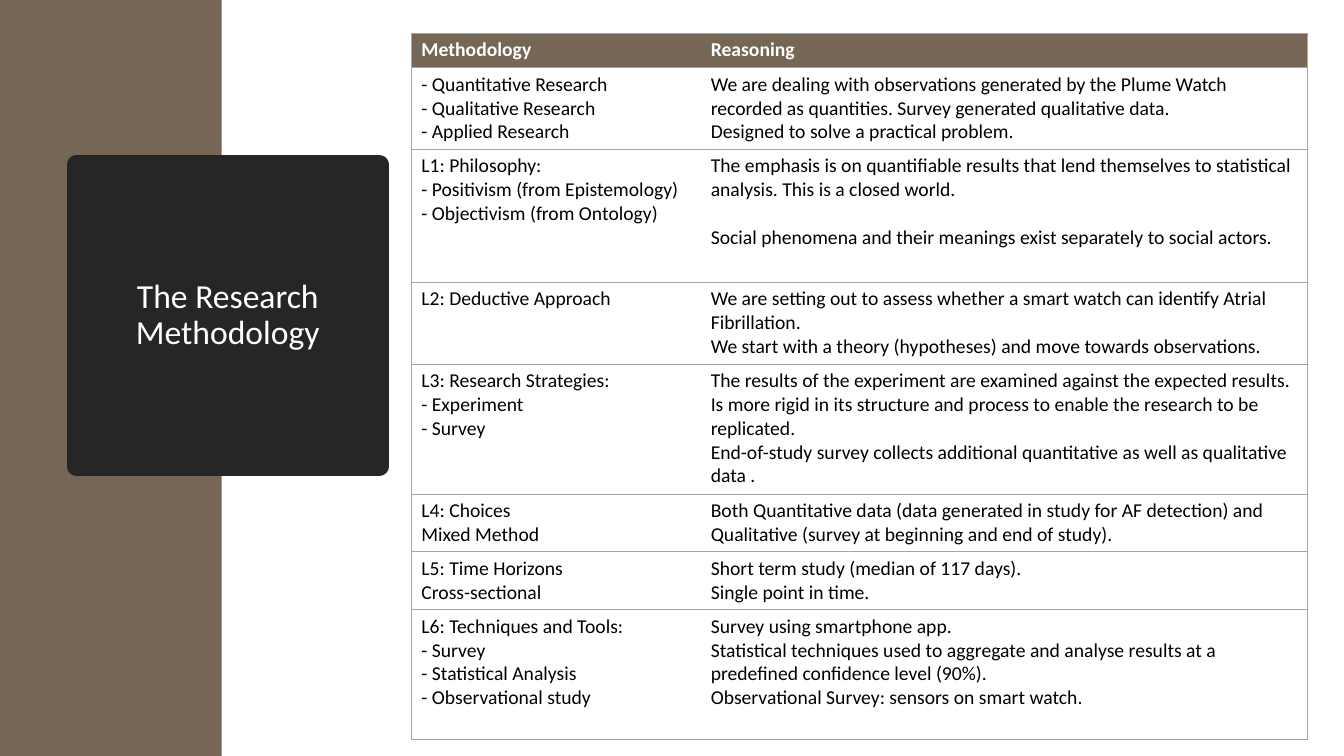
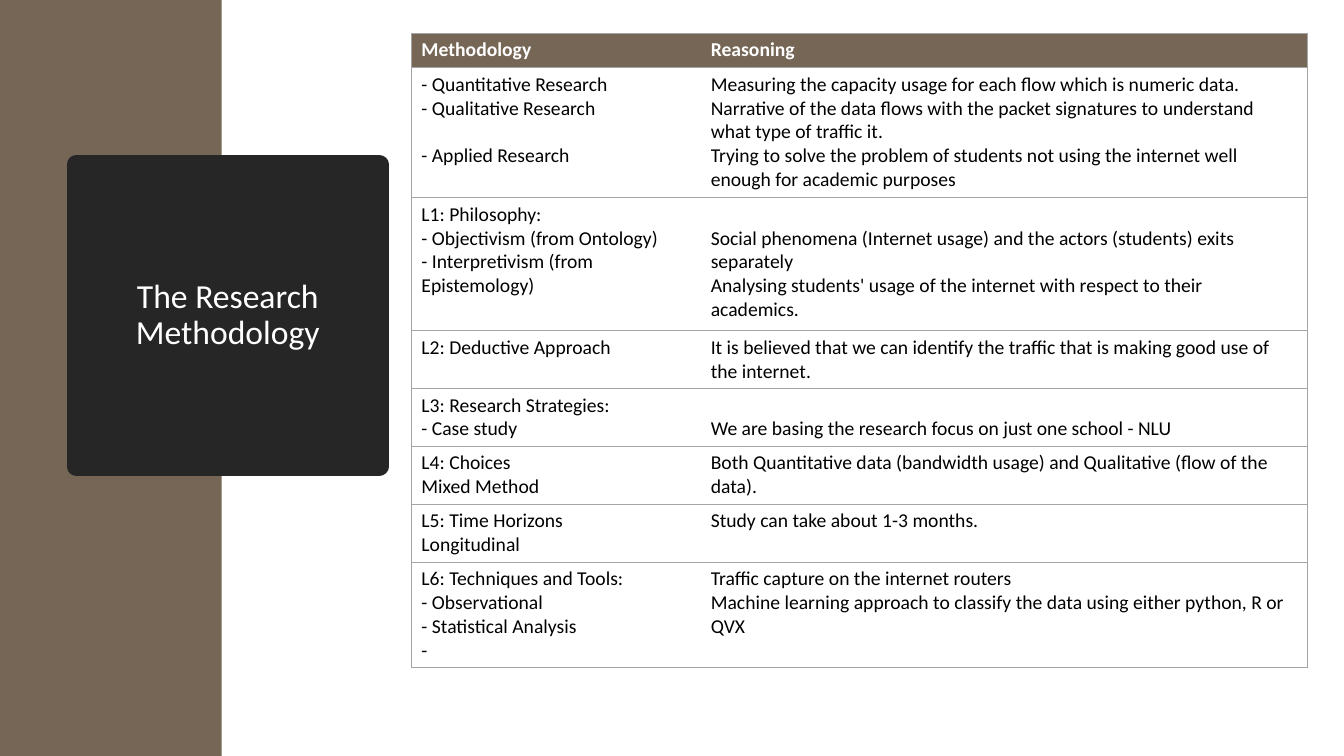
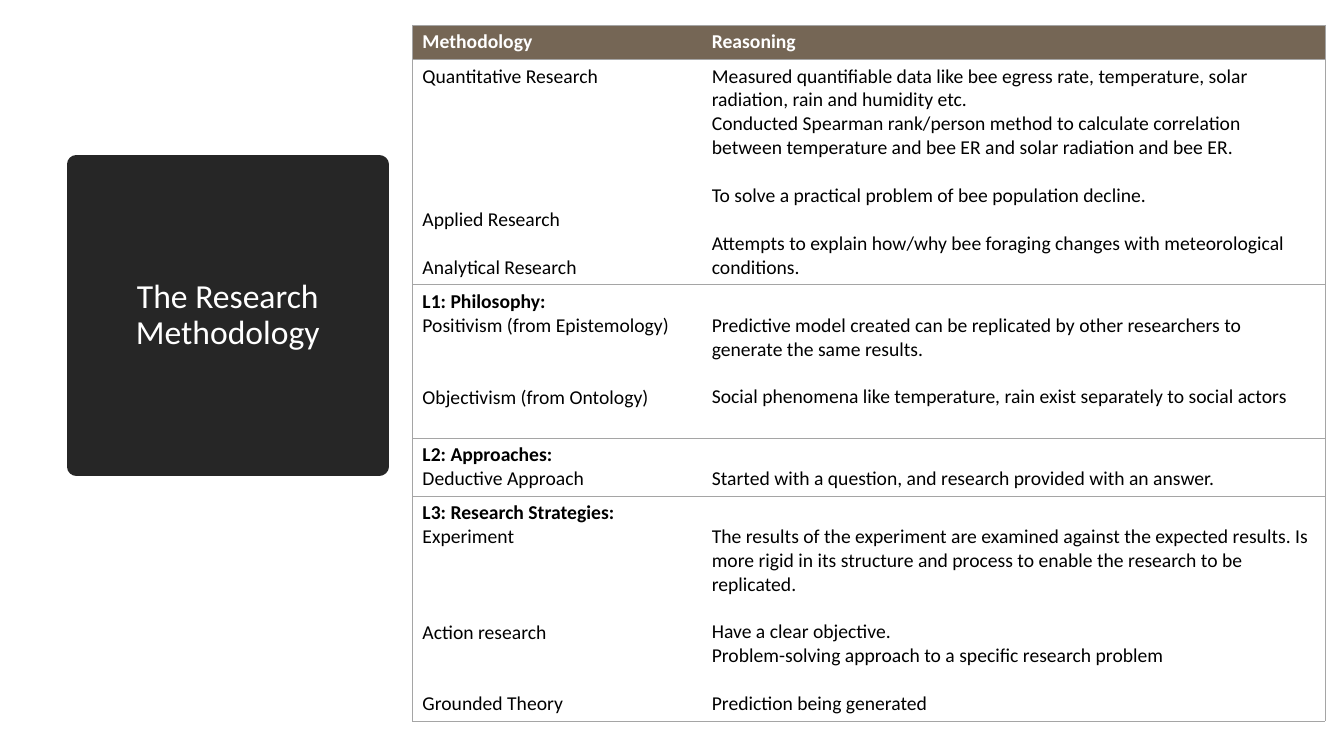
from dataclasses import dataclass
from typing import NamedTuple

import pptx
import pptx.dml.color
import pptx.enum.shapes
import pptx.enum.text
import pptx.oxml
import pptx.oxml.ns
import pptx.slide
import pptx.table
import pptx.text.text
import pptx.util

Inches = pptx.util.Inches
Pt = pptx.util.Pt
RGB = pptx.dml.color.RGBColor

BROWN = RGB(0x75, 0x66, 0x55)
DARK = RGB(0x26, 0x26, 0x26)
WHITE = RGB(0xFF, 0xFF, 0xFF)
BLACK = RGB(0x00, 0x00, 0x00)
GREY = RGB(0xA5, 0xA5, 0xA5)

FONT = "Calibri"
WIDE, HIGH = 13.33, 7.5
SIZE = 14
LINE = 17.1  # points from one line of table text to the next
PAD = 0.05  # inches above the first line of a cell
SIDE = 0.14  # inches right of the text of a cell
RULE = 0.5


class Para(NamedTuple):
    """A paragraph, set a number of lines below the one before it."""
    text: str
    gap: int = 0
    bold: bool = False


class Row(NamedTuple):
    high: float
    method: list[Para]
    reason: list[Para]


@dataclass
class Page:
    left: float
    top: float
    cols: tuple[float, float]
    rows: list[Row]
    band: bool = True


HEAD = Row(0.34, [Para("Methodology", bold=True)], [Para("Reasoning", bold=True)])

PAGES = [
    Page(4.08, 0.33, (2.87, 6.02), [
        Row(0.81,
            [Para("- Quantitative Research"),
             Para("- Qualitative Research"),
             Para("- Applied Research")],
            [Para("We are dealing with observations generated by the Plume Watch "
                  "recorded as quantities. Survey generated qualitative data."),
             Para("Designed to solve a practical problem.")]),
        Row(1.32,
            [Para("L1: Philosophy:"),
             Para("- Positivism (from Epistemology)"),
             Para("- Objectivism (from Ontology)")],
            [Para("The emphasis is on quantifiable results that lend themselves to "
                  "statistical analysis. This is a closed world."),
             Para("Social phenomena and their meanings exist separately to social "
                  "actors.", 1)]),
        Row(0.81,
            [Para("L2: Deductive Approach")],
            [Para("We are setting out to assess whether a smart watch can identify "
                  "Atrial Fibrillation."),
             Para("We start with a theory (hypotheses) and move towards "
                  "observations.")]),
        Row(1.29,
            [Para("L3: Research Strategies:"),
             Para("- Experiment"),
             Para("- Survey")],
            [Para("The results of the experiment are examined against the expected "
                  "results. Is more rigid in its structure and process to enable the "
                  "research to be replicated."),
             Para("End-of-study survey collects additional quantitative as well as "
                  "qualitative data .")]),
        Row(0.57,
            [Para("L4: Choices"), Para("Mixed Method")],
            [Para("Both Quantitative data (data generated in study for AF detection) "
                  "and Qualitative (survey at beginning and end of study).")]),
        Row(0.57,
            [Para("L5: Time Horizons"), Para("Cross-sectional")],
            [Para("Short term study (median of 117 days)."),
             Para("Single point in time.")]),
        Row(1.29,
            [Para("L6: Techniques and Tools:"),
             Para("- Survey"),
             Para("- Statistical Analysis"),
             Para("- Observational study")],
            [Para("Survey using smartphone app."),
             Para("Statistical techniques used to aggregate and analyse results at a "
                  "predefined confidence level (90%)."),
             Para("Observational Survey: sensors on smart watch.")]),
    ]),
    Page(4.08, 0.33, (2.87, 6.02), [
        Row(1.29,
            [Para("- Quantitative Research"),
             Para("- Qualitative Research"),
             Para("- Applied Research", 1)],
            [Para("Measuring the capacity usage for each flow which is numeric data."),
             Para("Narrative of the data flows with the packet signatures to "
                  "understand what type of traffic it."),
             Para("Trying to solve the problem of students not using the internet "
                  "well enough for academic purposes")]),
        Row(1.32,
            [Para("L1: Philosophy:"),
             Para("- Objectivism (from Ontology)"),
             Para("- Interpretivism (from Epistemology)")],
            [Para("Social phenomena (Internet usage) and the actors (students) exits "
                  "separately", 1),
             Para("Analysing students' usage of the internet with respect to their "
                  "academics.")]),
        Row(0.57,
            [Para("L2: Deductive Approach")],
            [Para("It is believed that we can identify the traffic that is making "
                  "good use of the internet.")]),
        Row(0.57,
            [Para("L3: Research Strategies:"), Para("- Case study")],
            [Para("We are basing the research focus on just one school - NLU", 1)]),
        Row(0.57,
            [Para("L4: Choices"), Para("Mixed Method")],
            [Para("Both Quantitative data (bandwidth usage) and Qualitative (flow of "
                  "the data).")]),
        Row(0.57,
            [Para("L5: Time Horizons"), Para("Longitudinal")],
            [Para("Study can take about 1-3 months.")]),
        Row(1.05,
            [Para("L6: Techniques and Tools:"),
             Para("- Observational"),
             Para("- Statistical Analysis"),
             Para("-")],
            [Para("Traffic capture on the internet routers"),
             Para("Machine learning approach to classify the data using either "
                  "python, R or QVX")]),
    ]),
    Page(4.09, 0.25, (2.87, 6.18), [
        Row(2.23,
            [Para("Quantitative Research"),
             Para("Applied Research", 5),
             Para("Analytical Research", 1)],
            [Para("Measured quantifiable data like bee egress rate, temperature, "
                  "solar radiation, rain and humidity etc."),
             Para("Conducted Spearman rank/person method to calculate correlation "
                  "between temperature and bee ER and solar radiation and bee ER."),
             Para("To solve a practical problem of bee population decline.", 1),
             Para("Attempts to explain how/why bee foraging changes with "
                  "meteorological conditions.", 1)]),
        Row(1.52,
            [Para("L1: Philosophy:", bold=True),
             Para("Positivism (from Epistemology)"),
             Para("Objectivism (from Ontology)", 2)],
            [Para("Predictive model created can be replicated by other researchers "
                  "to generate the same results.", 1),
             Para("Social phenomena like temperature, rain exist separately to "
                  "social actors", 1)]),
        Row(0.57,
            [Para("L2: Approaches:", bold=True), Para("Deductive Approach")],
            [Para("Started with a question, and research provided with an answer.",
                  1)]),
        Row(2.22,
            [Para("L3: Research Strategies:", bold=True),
             Para("Experiment"),
             Para("Action research", 3),
             Para("Grounded Theory", 2)],
            [Para("The results of the experiment are examined against the expected "
                  "results. Is more rigid in its structure and process to enable the "
                  "research to be replicated.", 1),
             Para("Have a clear objective.", 1),
             Para("Problem-solving approach to a specific research problem"),
             Para("Prediction being generated", 1)]),
    ], band=False),
]


def add_run(para: pptx.text.text._Paragraph, text: str, size: float,
            color: RGB, bold: bool = False) -> None:
    run = para.add_run()
    run.text = text
    font = run.font
    font.name, font.size, font.bold = FONT, Pt(size), bold
    font.color.rgb = color


def add_box(slide: pptx.slide.Slide, left: float, top: float, width: float,
            height: float, fill: RGB, edge: float = 0):
    """Add a plain rectangle; edge is the width of its outline in points."""
    box = slide.shapes.add_shape(
        pptx.enum.shapes.MSO_SHAPE.RECTANGLE,
        Inches(left), Inches(top), Inches(width), Inches(height))
    box.shadow.inherit = False
    box.fill.solid()
    box.fill.fore_color.rgb = fill
    if edge:
        box.line.color.rgb = fill
        box.line.width = Pt(edge)
    else:
        box.line.fill.background()
    return box


def add_title(slide: pptx.slide.Slide) -> None:
    frame = add_box(slide, 0.76, 1.63, 3, 3, DARK, 13.75).text_frame
    frame.word_wrap = True
    frame.vertical_anchor = pptx.enum.text.MSO_ANCHOR.MIDDLE
    para = frame.paragraphs[0]
    para.alignment = pptx.enum.text.PP_ALIGN.CENTER
    para.line_spacing = 0.9
    add_run(para, "The Research Methodology", 24, WHITE)


def set_edges(cell: pptx.table._Cell, first: bool) -> None:
    """Rule a cell on all sides but the one between the two columns."""
    props = cell._tc.get_or_add_tcPr()
    bare = "R" if first else "L"
    for side in "LRTB":
        paint = ("<a:noFill/>" if side == bare else
                 f'<a:solidFill><a:srgbClr val="{GREY}"/></a:solidFill>')
        props.append(pptx.oxml.parse_xml(
            f'<a:ln{side} {pptx.oxml.ns.nsdecls("a")} w="{int(Pt(RULE))}">'
            f"{paint}</a:ln{side}>"))


def fill_cell(cell: pptx.table._Cell, paras: list[Para], color: RGB) -> None:
    cell.margin_top = Inches(PAD) + Pt(LINE * paras[0].gap)
    cell.margin_right = Inches(SIDE)
    frame = cell.text_frame
    for num, item in enumerate(paras):
        para = frame.add_paragraph() if num else frame.paragraphs[0]
        if num and item.gap:
            para.space_before = Pt(LINE * item.gap)
        add_run(para, item.text, SIZE, color, item.bold)


def add_grid(slide: pptx.slide.Slide, page: Page) -> None:
    rows = [HEAD, *page.rows]
    grid = slide.shapes.add_table(
        len(rows), len(page.cols), Inches(page.left), Inches(page.top),
        Inches(sum(page.cols)), Inches(sum(row.high for row in rows))).table
    grid.horz_banding = False
    for col, width in zip(grid.columns, page.cols):
        col.width = Inches(width)
    for r, row in enumerate(rows):
        grid.rows[r].height = Inches(row.high)
        for c, paras in enumerate((row.method, row.reason)):
            cell = grid.cell(r, c)
            set_edges(cell, c == 0)
            if r:
                cell.fill.background()
            else:
                cell.fill.solid()
                cell.fill.fore_color.rgb = BROWN
            fill_cell(cell, paras, BLACK if r else WHITE)


def main() -> None:
    deck = pptx.Presentation()
    deck.slide_width, deck.slide_height = Inches(WIDE), Inches(HIGH)
    for page in PAGES:
        slide = deck.slides.add_slide(deck.slide_layouts[6])
        if page.band:
            add_box(slide, 0, 0, 2.2, HIGH, BROWN)
        add_title(slide)
        add_grid(slide, page)
    deck.save("out.pptx")


if __name__ == "__main__":
    main()
